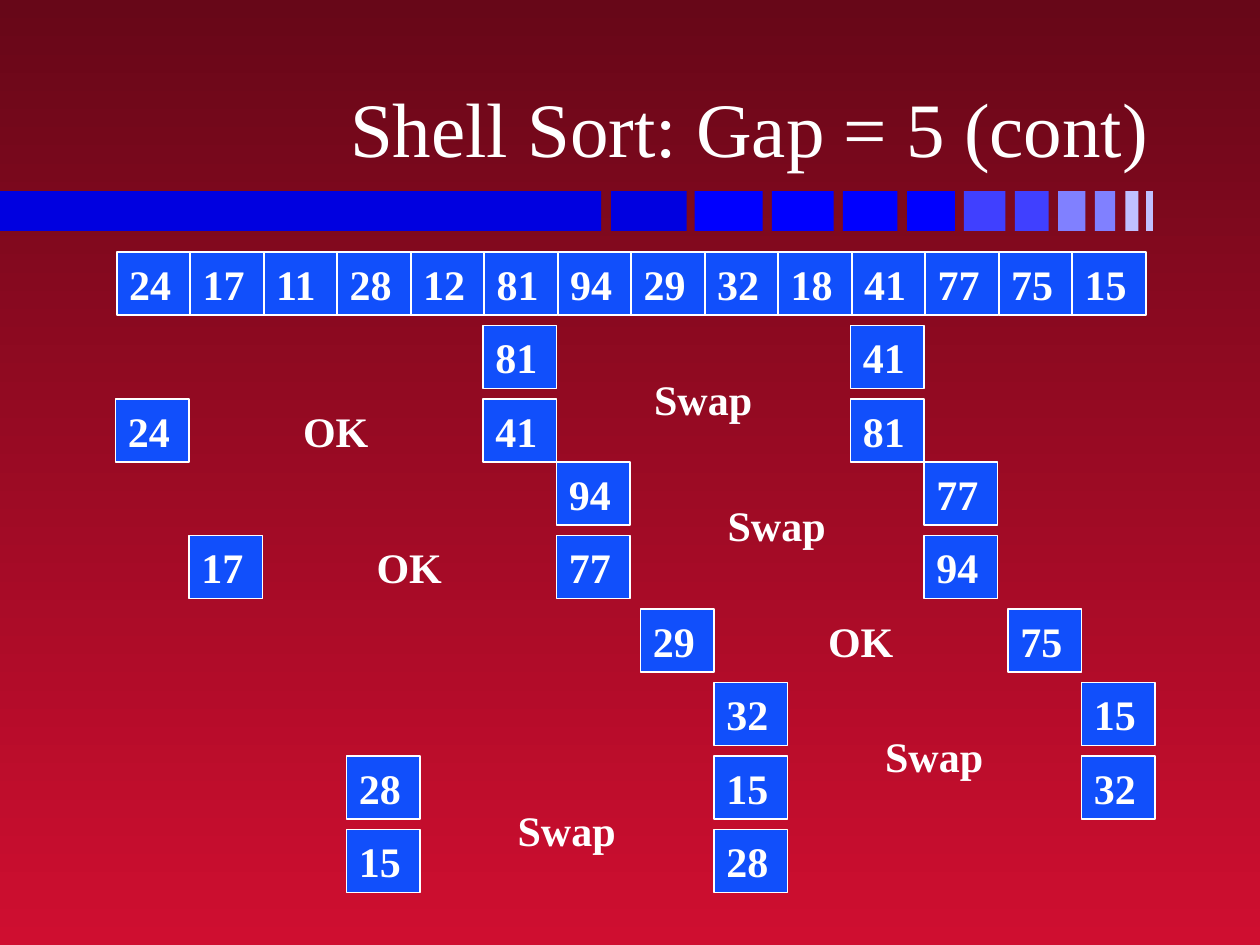
from dataclasses import dataclass

import pptx
import pptx.dml.color
import pptx.enum.shapes
import pptx.enum.text
import pptx.util

Pt = pptx.util.Pt
RGB = pptx.dml.color.RGBColor.from_string
ANCHOR = pptx.enum.text.MSO_ANCHOR
ALIGN = pptx.enum.text.PP_ALIGN


@dataclass(frozen=True)
class Theme:
    font: str = "Times New Roman"
    text: str = "FFFFFF"
    cell: str = "114FFB"
    sky_top: str = "670718"
    sky_bottom: str = "CF0E30"
    title_size: int = 44
    body_size: int = 24


THEME = Theme()

CELL_W, CELL_H = 42, 36
GAP = 5
ARRAY_LEFT, ARRAY_TOP = 66.7, 144
STEPS_LEFT = 66
VERDICT_WIDTHS = {"Swap": 70.6, "OK": 51.8}

NUMBERS = [24, 17, 11, 28, 12, 81, 94, 29, 32, 18, 41, 77, 75, 15]

# array index, shift to the right, top, value
STEP_CELLS = [
    (5, 0, 186, 81), (10, 0, 186, 41),
    (0, 0, 228, 24), (5, 0, 228, 41), (10, 0, 228, 81),
    (6, 0, 264, 94), (11, 0, 264, 77),
    (1, 0, 306, 17), (6, 0, 306, 77), (11, 0, 306, 94),
    (7, 6, 348, 29), (12, 6, 348, 75),
    (8, 6, 390, 32), (13, 6, 390, 15),
    (3, 6, 432, 28), (8, 6, 432, 15), (13, 6, 432, 32),
    (3, 6, 474, 15), (8, 6, 474, 28),
]

# index of the left partner, shift to the right, top, verdict
VERDICTS = [
    (5, 0, 210, "Swap"), (0, 0, 228, "OK"),
    (6, 0, 282, "Swap"), (1, 0, 306, "OK"),
    (7, 6, 348, "OK"), (8, 6, 414, "Swap"), (3, 6, 456, "Swap"),
]

# left, width, colour
RULE_BARS = [
    (0, 343.6, "0000E0"), (349.2, 43.2, "0000E0"),
    (396.9, 39, "0000FF"), (441.1, 35.3, "0000FF"),
    (481.7, 31.1, "0000FF"), (518.4, 27.3, "0000FF"),
    (550.8, 23.7, "4040FF"), (579.9, 19.3, "4040FF"),
    (604.6, 15.7, "8080FF"), (625.6, 11.6, "8080FF"),
    (643.1, 7.4, "C0C0FF"), (654.9, 3.9, "C0C0FF"),
]


def paint_background(slide):
    fill = slide.background.fill
    fill.gradient()
    fill.gradient_angle = 270
    for stop, colour in zip(fill.gradient_stops, (THEME.sky_top, THEME.sky_bottom)):
        stop.color.rgb = RGB(colour)


def write(frame, text, size, bold, align, anchor):
    frame.vertical_anchor = anchor
    paragraph = frame.paragraphs[0]
    paragraph.alignment = align
    run = paragraph.add_run()
    run.text = text
    run.font.name = THEME.font
    run.font.size = Pt(size)
    run.font.bold = bold
    run.font.color.rgb = RGB(THEME.text)


def set_title(slide, text):
    title = slide.shapes.title
    title.left, title.top, title.width, title.height = Pt(53.3), Pt(13.7), Pt(610.6), Pt(88.6)
    title.text_frame.auto_size = pptx.enum.text.MSO_AUTO_SIZE.NONE
    write(title.text_frame, text, THEME.title_size, False, ALIGN.RIGHT, ANCHOR.BOTTOM)


def add_block(slide, left, top, width, height, colour):
    block = slide.shapes.add_shape(
        pptx.enum.shapes.MSO_SHAPE.RECTANGLE, Pt(left), Pt(top), Pt(width), Pt(height))
    block.shadow.inherit = False
    block.fill.solid()
    block.fill.fore_color.rgb = RGB(colour)
    block.line.fill.background()
    return block


def add_cell(slide, left, top, number):
    cell = add_block(slide, left, top, CELL_W, CELL_H, THEME.cell)
    cell.line.color.rgb = RGB(THEME.text)
    cell.line.width = Pt(1)
    cell.text_frame.word_wrap = False
    write(cell.text_frame, str(number), THEME.body_size, True, ALIGN.LEFT, ANCHOR.MIDDLE)


def step_left(index, shift):
    return STEPS_LEFT + index * CELL_W + shift


def add_verdict(slide, index, shift, top, verdict):
    """Centre the verdict between a cell and its partner one gap away."""
    width = VERDICT_WIDTHS[verdict]
    middle = step_left(index, shift) + (GAP + 1) * CELL_W / 2
    label = slide.shapes.add_textbox(Pt(middle - width / 2), Pt(top), Pt(width), Pt(CELL_H))
    label.text_frame.word_wrap = False
    label.text_frame.auto_size = pptx.enum.text.MSO_AUTO_SIZE.SHAPE_TO_FIT_TEXT
    write(label.text_frame, verdict, THEME.body_size, True, ALIGN.LEFT, ANCHOR.TOP)


def main():
    deck = pptx.Presentation()
    deck.slide_width, deck.slide_height = Pt(720), Pt(540)
    slide = deck.slides.add_slide(deck.slide_layouts.get_by_name("Title Only"))
    paint_background(slide)
    set_title(slide, f"Shell Sort: Gap = {GAP} (cont)")
    for left, width, colour in RULE_BARS:
        add_block(slide, left, 109.2, width, 22.8, colour)
    for index, number in enumerate(NUMBERS):
        add_cell(slide, ARRAY_LEFT + index * CELL_W, ARRAY_TOP, number)
    for index, shift, top, number in STEP_CELLS:
        add_cell(slide, step_left(index, shift), top, number)
    for index, shift, top, verdict in VERDICTS:
        add_verdict(slide, index, shift, top, verdict)
    deck.save("out.pptx")


if __name__ == "__main__":
    main()
